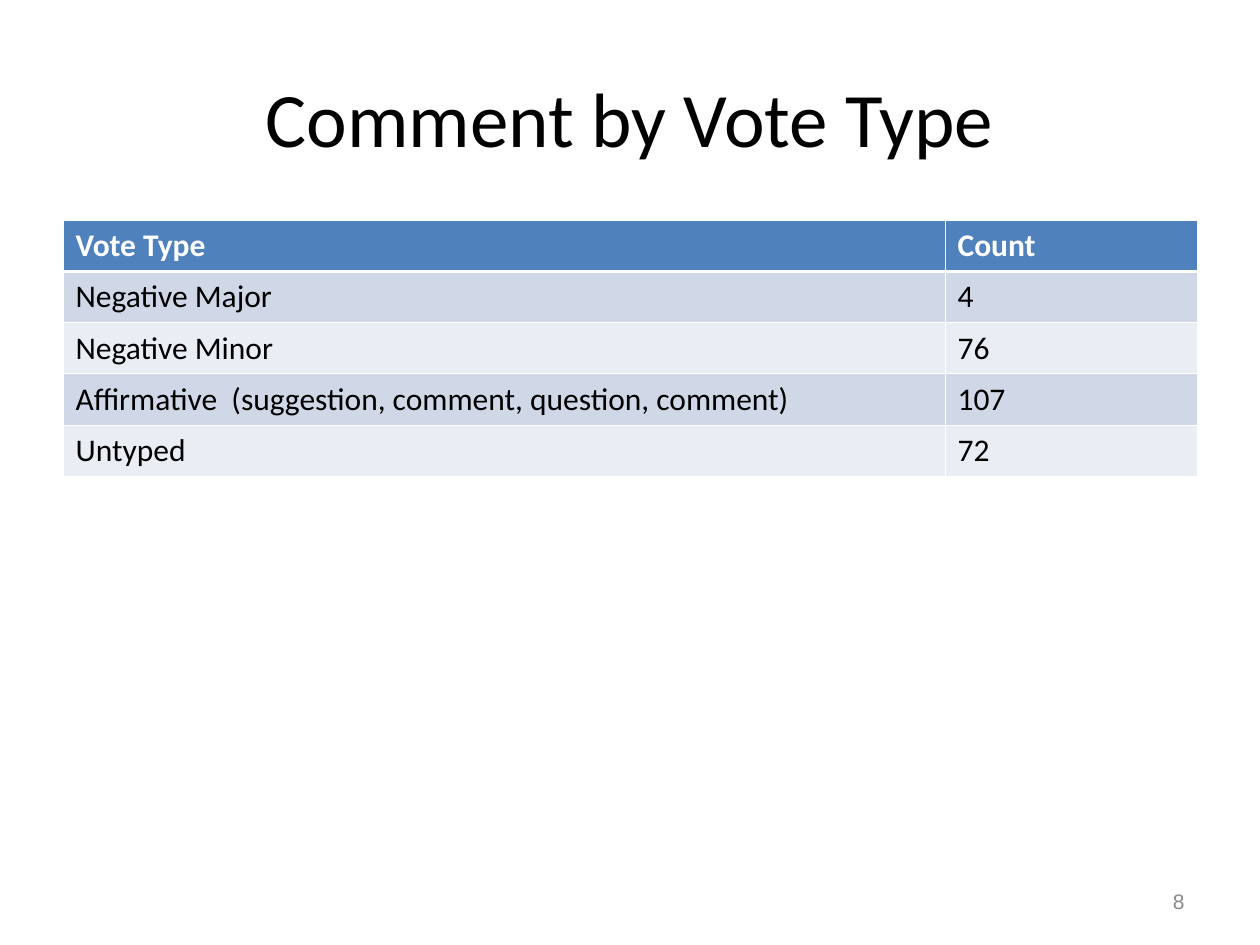
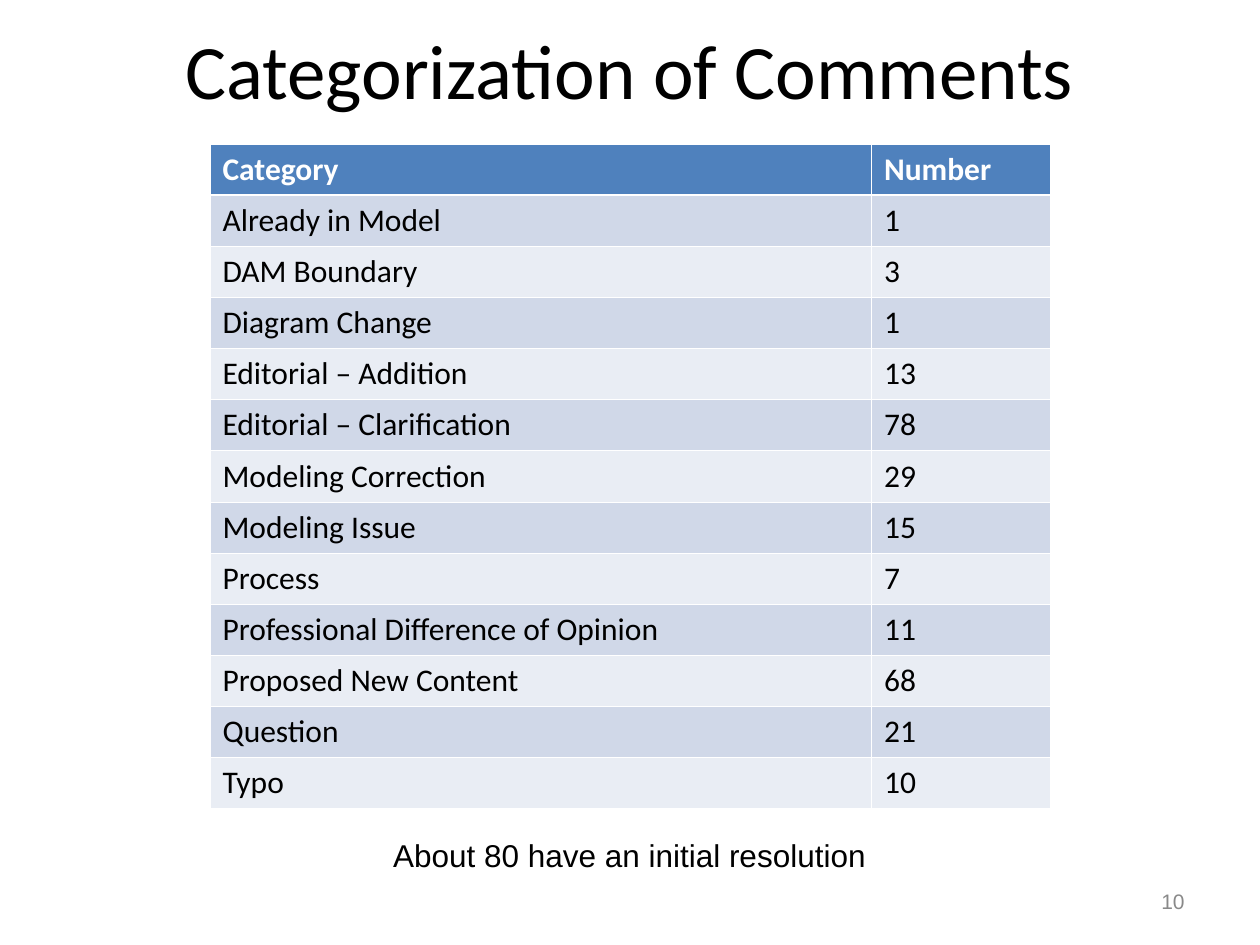
from lxml import etree
from pptx import Presentation
from pptx.dml.color import RGBColor
from pptx.enum import text
from pptx.oxml import ns
from pptx.util import Pt

SLIDES = [
    {
        "title": "Comment by Vote Type",
        "title_top": 21.6,
        "table_at": (36, 126),
        "columns": (504, 144),
        "rows": [
            ("Vote Type", "Count"),
            ("Negative Major", "4"),
            ("Negative Minor", "76"),
            ("Affirmative  (suggestion, comment, question, comment)", "107"),
            ("Untyped", "72"),
        ],
        "page": "8",
    },
    {
        "title": "Categorization of Comments",
        "title_top": -5.76,
        "table_at": (120, 82.4),
        "columns": (378, 102),
        "rows": [
            ("Category", "Number"),
            ("Already in Model", "1"),
            ("DAM Boundary", "3"),
            ("Diagram Change", "1"),
            ("Editorial – Addition", "13"),
            ("Editorial – Clarification", "78"),
            ("Modeling Correction", "29"),
            ("Modeling Issue", "15"),
            ("Process", "7"),
            ("Professional Difference of Opinion", "11"),
            ("Proposed New Content", "68"),
            ("Question", "21"),
            ("Typo", "10"),
        ],
        "note": "About 80 have an initial resolution",
        "page": "10",
    },
]

BLACK, WHITE, GREY = "000000", "FFFFFF", "898989"
HEADER_FILL, BAND_FILLS = "4F81BD", ("D0D8E8", "E9EDF4")
HEADING_FONT, PLAIN_FONT = "Calibri", "Arial"
ROW_HEIGHT = 29.2
THIN, THICK = 0.45, 1.47


def color(hex_string):
    return RGBColor.from_string(hex_string)


def add_run(paragraph, words, size, font, ink, bold=False):
    run = paragraph.add_run()
    run.text = words
    run.font.size = Pt(size)
    run.font.name = font
    run.font.bold = bold
    run.font.color.rgb = color(ink)


def add_label(slide, box, words, size, font, ink, align, anchor, wrap=True):
    frame = slide.shapes.add_textbox(*map(Pt, box)).text_frame
    frame.word_wrap = wrap
    frame.vertical_anchor = anchor
    frame.paragraphs[0].alignment = align
    add_run(frame.paragraphs[0], words, size, font, ink)


def add_borders(cell, **widths):
    """Draw white cell edges; must run before the cell's fill is set."""
    properties = cell._tc.get_or_add_tcPr()
    for side, width in widths.items():
        line = etree.SubElement(properties, ns.qn(f"a:ln{side}"), w=str(Pt(width)))
        fill = etree.SubElement(line, ns.qn("a:solidFill"))
        etree.SubElement(fill, ns.qn("a:srgbClr"), val=WHITE)


def add_banded_table(slide, corner, columns, rows):
    size = (sum(columns), ROW_HEIGHT * len(rows))
    table = slide.shapes.add_table(len(rows), len(columns), *map(Pt, corner + size)).table
    table.horz_banding = False
    for column, width in zip(table.columns, columns):
        column.width = Pt(width)
    for r, values in enumerate(rows):
        table.rows[r].height = Pt(ROW_HEIGHT)
        is_header = r == 0
        for c, value in enumerate(values):
            cell = table.cell(r, c)
            add_borders(cell, L=THIN, R=THIN,
                        T=THICK if r == 1 else THIN,
                        B=THICK if is_header else THIN)
            cell.fill.solid()
            cell.fill.fore_color.rgb = color(HEADER_FILL if is_header else BAND_FILLS[(r - 1) % 2])
            add_run(cell.text_frame.paragraphs[0], value, 18, HEADING_FONT,
                    WHITE if is_header else BLACK, is_header)


def main():
    deck = Presentation()
    deck.slide_width, deck.slide_height = Pt(720), Pt(540)
    align, anchor = text.PP_ALIGN, text.MSO_ANCHOR
    for content in SLIDES:
        slide = deck.slides.add_slide(deck.slide_layouts[6])
        add_label(slide, (36, content["title_top"], 648, 90), content["title"],
                  44, HEADING_FONT, BLACK, align.CENTER, anchor.MIDDLE)
        add_banded_table(slide, content["table_at"], content["columns"], content["rows"])
        if "note" in content:
            add_label(slide, (217.5, 474, 284.5, 29), content["note"],
                      18, PLAIN_FONT, BLACK, align.LEFT, anchor.TOP, wrap=False)
        add_label(slide, (516, 500.5, 168, 28.75), content["page"],
                  12, PLAIN_FONT, GREY, align.RIGHT, anchor.MIDDLE)
    deck.save("out.pptx")


if __name__ == "__main__":
    main()
